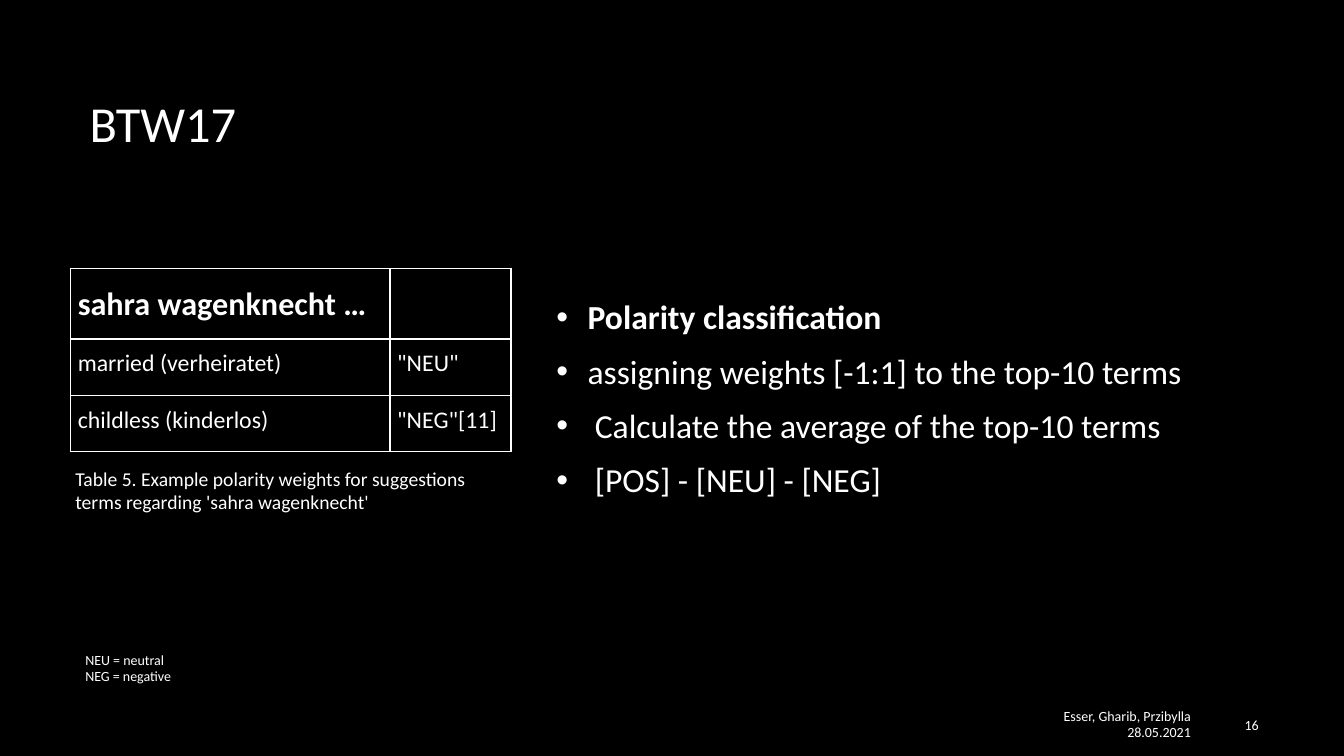
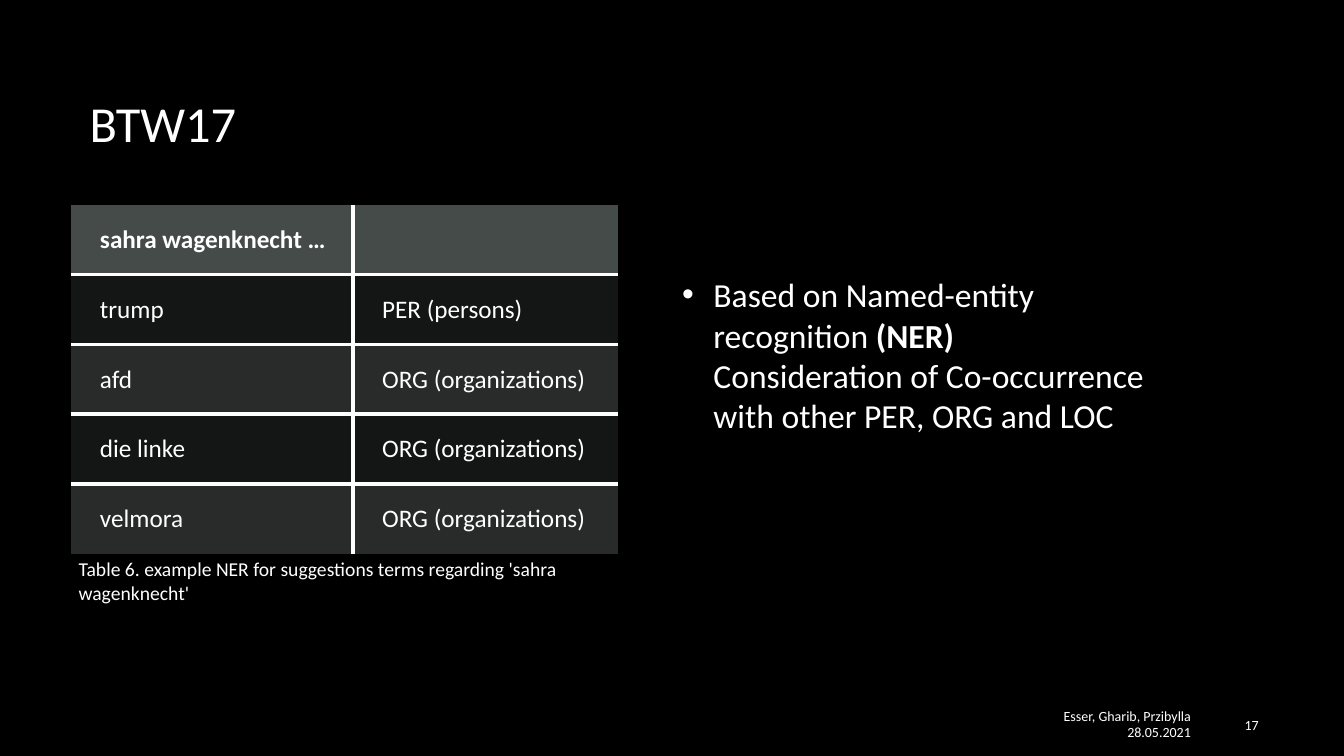
from lxml import etree
from pptx import Presentation
from pptx.dml.color import RGBColor
from pptx.enum import text as t
from pptx.oxml import ns
from pptx.util import Cm, Pt

FONT = "Calibri"
HUES = {"back": "000000", "ink": "FFFFFF", "head": "454B49",
        "dark": "141515", "light": "292B2A"}
ALIGN, ANCHOR = t.PP_ALIGN, t.MSO_ANCHOR

# Boxes are left, top, width, height in centimetres.
TITLE = (2.01, 0.84, 10.29, 4.47)
CREDIT = (25.81, 17.75, 4.45, 1.04)
NUMBER = (30.45, 17.75, 1.52, 1.04)
AUTHORS = "Esser, Gharib, Przibylla 28.05.2021"

GRID = {"pads": (0.18, 0.18, 0.18, 0.36), "line": 1, "outer": True,
        "sizes": (23, 17), "anchor": ANCHOR.BOTTOM,
        "fills": ("back", "back", "back")}
BANDS = {"pads": (0.74, 0.43, 0.43, 0.43), "line": 3, "outer": False,
         "sizes": (18, 18), "anchor": ANCHOR.MIDDLE,
         "fills": ("head", "dark", "light")}

# Each bullet is an indent in centimetres and its (text, bold) runs.
SLIDES = [
    {
        "page": 16,
        "title": "BTW17",
        "table": {
            "at": (1.78, 6.76), "cols": (8.05, 3.05),
            "rows": (1.78, 1.42, 1.42), "style": GRID,
            "cells": [("sahra wagenknecht …", ""),
                      ("married (verheiratet)", '"NEU"'),
                      ("childless (kinderlos)", '"NEG"[11]')],
        },
        "caption": ("Table 5. Example polarity weights for suggestions "
                    "terms regarding 'sahra wagenknecht'",
                    (1.65, 11.63, 11.51, 1.45)),
        "body": (13.77, 6.22, 18.31, 7.62),
        "bullets": [
            (0.79, [("Polarity classification", True)]),
            (0.79, [("assigning weights [-1:1] to the top-10 terms", False)]),
            (0.97, [("Calculate the average of the top-10 terms", False)]),
            (0.97, [("[POS] - [NEU] - [NEG]", False)]),
        ],
        "key": ("NEU = neutral\nNEG = negative", (1.9, 16.31, 21.74, 1.04)),
    },
    {
        "page": 17,
        "title": "BTW17",
        "table": {
            "at": (1.78, 5.16), "cols": (7.11, 6.68),
            "rows": (1.76,) * 5, "style": BANDS,
            "cells": [("sahra wagenknecht …", ""),
                      ("trump", "PER (persons)"),
                      ("afd", "ORG (organizations)"),
                      ("die linke", "ORG (organizations)"),
                      ("velmora", "ORG (organizations)")],
        },
        "caption": ("Table 6. example NER for suggestions terms "
                    "regarding 'sahra wagenknecht'",
                    (1.73, 13.92, 14.48, 1.45)),
        "body": (16.94, 3.43, 12.17, 11.02),
        "bullets": [
            (0.79, [("Based on Named-entity recognition", False),
                    (" (NER)", True),
                    (" Consideration of Co-occurrence with other PER, "
                     "ORG and LOC", False)]),
        ],
    },
]


def hue(name):
    return RGBColor.from_string(HUES[name])


def style(run, size, bold=False):
    font = run.font
    font.name, font.size, font.bold = FONT, Pt(size), bold
    font.color.rgb = hue("ink")


def add_box(slide, box, anchor=ANCHOR.MIDDLE):
    frame = slide.shapes.add_textbox(*map(Cm, box)).text_frame
    frame.word_wrap = True
    frame.vertical_anchor = anchor
    return frame


def add_text(slide, words, box, size, align=ALIGN.LEFT,
             anchor=ANCHOR.MIDDLE, space=1.0):
    frame = add_box(slide, box, anchor)
    frame.text = words
    for para in frame.paragraphs:
        para.alignment, para.line_spacing = align, space
        for run in para.runs:
            style(run, size)


def add_list(slide, items, box):
    frame = add_box(slide, box)
    for i, (indent, parts) in enumerate(items):
        para = frame.add_paragraph() if i else frame.paragraphs[0]
        para.space_after = Pt(10)
        for words, bold in parts:
            run = para.add_run()
            run.text = words
            style(run, 24, bold)
        props = para._p.get_or_add_pPr()
        props.set("marL", str(Cm(indent)))
        props.set("indent", str(-Cm(indent)))
        face = etree.SubElement(props, ns.qn("a:buFont"))
        face.set("typeface", "Arial")
        etree.SubElement(props, ns.qn("a:buChar")).set("char", "•")


def set_edges(cell, shown, width):
    """Draw the edges (left, right, top, bottom) that are shown."""
    props = cell._tc.get_or_add_tcPr()
    for i, (side, show) in enumerate(zip("LRTB", shown)):
        line = etree.Element(ns.qn("a:ln" + side), w=str(Pt(width)))
        if show:
            fill = etree.SubElement(line, ns.qn("a:solidFill"))
            etree.SubElement(fill, ns.qn("a:srgbClr")).set("val", HUES["ink"])
        else:
            etree.SubElement(line, ns.qn("a:noFill"))
        props.insert(i, line)


def add_grid(slide, at, cols, rows, cells, style_set):
    look = style_set
    size = (sum(cols), sum(rows))
    table = slide.shapes.add_table(
        len(rows), len(cols), *map(Cm, at + size)).table
    for col, width in zip(table.columns, cols):
        col.width = Cm(width)
    for row, height in zip(table.rows, rows):
        row.height = Cm(height)
    for r, line in enumerate(cells):
        head = r == 0
        shade = look["fills"][0 if head else 2 - r % 2]
        for c, words in enumerate(line):
            cell = table.cell(r, c)
            cell.text = words
            for run in cell.text_frame.paragraphs[0].runs:
                style(run, look["sizes"][0 if head else 1], head)
            (cell.margin_left, cell.margin_right,
             cell.margin_top, cell.margin_bottom) = map(Cm, look["pads"])
            cell.vertical_anchor = look["anchor"] if head else ANCHOR.MIDDLE
            cell.fill.solid()
            cell.fill.fore_color.rgb = hue(shade)
            inner = (c > 0, c < len(cols) - 1, r > 0, r < len(rows) - 1)
            set_edges(cell, [look["outer"] or e for e in inner], look["line"])


def add_slide(deck, data):
    slide = deck.slides.add_slide(deck.slide_layouts[6])
    add_text(slide, data["title"], TITLE, 36)
    grid = data["table"]
    add_grid(slide, grid["at"], grid["cols"], grid["rows"],
             grid["cells"], grid["style"])
    add_text(slide, *data["caption"], 14, anchor=ANCHOR.TOP)
    add_list(slide, data["bullets"], data["body"])
    if "key" in data:
        add_text(slide, *data["key"], 10)
    add_text(slide, AUTHORS, CREDIT, 10, ALIGN.RIGHT, space=0.9)
    add_text(slide, str(data["page"]), NUMBER, 10, ALIGN.RIGHT)


def main():
    deck = Presentation()
    deck.slide_width, deck.slide_height = Cm(33.87), Cm(19.05)
    back = deck.slide_master.background.fill
    back.solid()
    back.fore_color.rgb = hue("back")
    for data in SLIDES:
        add_slide(deck, data)
    deck.save("out.pptx")


if __name__ == "__main__":
    main()
